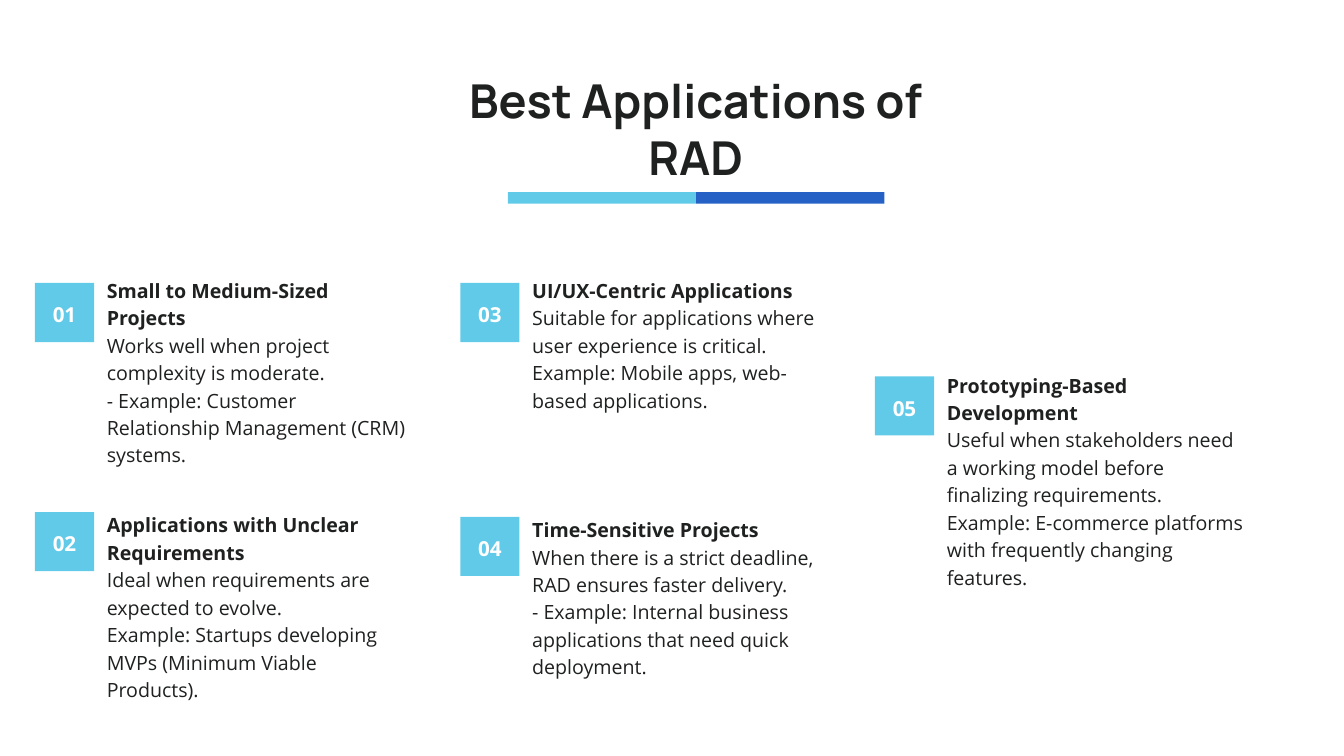
"""Build the slide on the best applications of RAD."""
from pptx import Presentation, util as u
from pptx.dml.color import RGBColor
from pptx.enum import shapes, text

SLIDE_W, SLIDE_H = 20, 11.25
INK, WHITE, SKY, BLUE = "1F2020", "FFFFFF", "61CAE8", "2661C6"

TITLE = "Best Applications of RAD"
COLUMNS = (0.52, 6.85, 13.02)
BADGE, TEXT_SHIFT, TEXT_W = 0.88, 1.07, 4.5
LINE_H = 29.4 / 72
BAR_LEFT, BAR_TOP, BAR_W, BAR_H = 7.56, 2.86, 2.8, 0.17

# column, badge top, text top, text lines, heading, body paragraphs
APPLICATIONS = [
    (0, 4.21, 4.09, 7, "Small to Medium-Sized Projects",
     ["Works well when project complexity is moderate.",
      "- Example: Customer Relationship Management (CRM) systems."]),
    (0, 7.62, 7.58, 7, "Applications with Unclear Requirements",
     ["Ideal when requirements are expected to evolve.",
      "Example: Startups developing MVPs (Minimum Viable Products)."]),
    (1, 4.21, 4.09, 6, "UI/UX-Centric Applications",
     ["Suitable for applications where user experience is critical.",
      "Example: Mobile apps, web-based applications."]),
    (1, 7.69, 7.65, 6, "Time-Sensitive Projects",
     ["When there is a strict deadline, RAD ensures faster delivery.",
      "- Example: Internal business applications that need quick deployment."]),
    (2, 5.6, 5.5, 8, "Prototyping-Based Development",
     ["Useful when stakeholders need a working model before finalizing requirements.",
      "Example: E-commerce platforms with frequently changing features."]),
]

TITLE_STYLE = {"name": "Manrope", "size": u.Pt(50), "bold": True}
NUMBER_STYLE = {"name": "Open Sans", "size": u.Pt(22.1), "bold": True}
HEADING_STYLE = {"name": "Open Sans", "size": u.Pt(21), "bold": True}
BODY_STYLE = {**HEADING_STYLE, "bold": False}
FRAME = {"margin_left": 0, "margin_top": 0, "margin_right": 0, "margin_bottom": 0,
         "word_wrap": True}


def rgb(value):
    return RGBColor.from_string(value)


def write(frame, lines, spacing, color=INK, align=text.PP_ALIGN.LEFT,
          anchor=text.MSO_ANCHOR.TOP):
    for key, value in {**FRAME, "vertical_anchor": anchor}.items():
        setattr(frame, key, value)
    for index, (words, style) in enumerate(lines):
        line = frame.add_paragraph() if index else frame.paragraphs[0]
        line.alignment, line.line_spacing = align, u.Pt(spacing)
        run = line.add_run()
        run.text = words
        for key, value in style.items():
            setattr(run.font, key, value)
        run.font.color.rgb = rgb(color)


def add_block(slide, left, top, width, height, fill):
    block = slide.shapes.add_shape(
        shapes.MSO_SHAPE.RECTANGLE, *map(u.Inches, (left, top, width, height)))
    block.shadow.inherit = False
    block.fill.solid()
    block.fill.fore_color.rgb = rgb(fill)
    block.line.fill.background()
    return block


def add_text(slide, left, top, width, height, lines, spacing, **layout):
    box = slide.shapes.add_textbox(*map(u.Inches, (left, top, width, height)))
    write(box.text_frame, lines, spacing, **layout)


def main():
    deck = Presentation()
    deck.slide_width, deck.slide_height = u.Inches(SLIDE_W), u.Inches(SLIDE_H)
    slide = deck.slides.add_slide(deck.slide_layouts[6])

    for step, fill in enumerate((SKY, BLUE)):
        add_block(slide, BAR_LEFT + step * BAR_W, BAR_TOP, BAR_W, BAR_H, fill)
    add_text(slide, 6.24, 1.06, 8.23, 1.74, [(TITLE, TITLE_STYLE)], 61,
             align=text.PP_ALIGN.CENTER)

    for number, (column, badge_top, text_top, rows, heading, body) in enumerate(APPLICATIONS, 1):
        left = COLUMNS[column]
        lines = [(heading, HEADING_STYLE)] + [(words, BODY_STYLE) for words in body]
        add_text(slide, left + TEXT_SHIFT, text_top, TEXT_W, rows * LINE_H, lines, 29.4)
        badge = add_block(slide, left, badge_top, BADGE, BADGE, SKY)
        write(badge.text_frame, [(f"{number:02}", NUMBER_STYLE)], 31, color=WHITE,
              align=text.PP_ALIGN.CENTER, anchor=text.MSO_ANCHOR.MIDDLE)

    deck.save("out.pptx")


if __name__ == "__main__":
    main()
